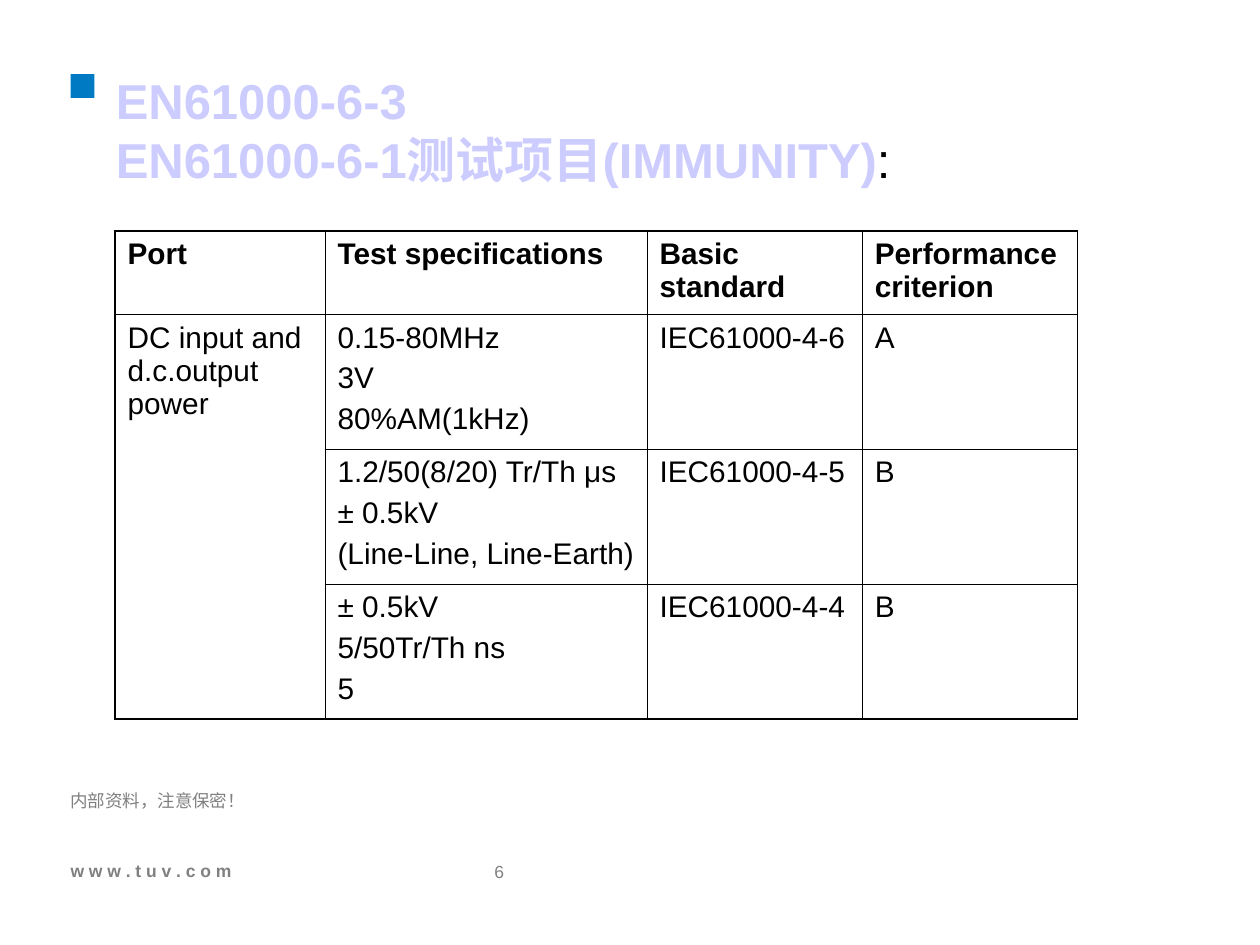
"""Build the slide of EMC immunity tests with a title, table and footer."""
from lxml import etree
from pptx import Presentation
from pptx.dml.color import RGBColor
from pptx.enum.shapes import MSO_SHAPE
from pptx.enum.text import MSO_ANCHOR, PP_ALIGN
from pptx.oxml.ns import qn
from pptx.util import Pt

RECT = MSO_SHAPE.RECTANGLE
TOP, BOTTOM = MSO_ANCHOR.TOP, MSO_ANCHOR.BOTTOM
LEFT, RIGHT = PP_ALIGN.LEFT, PP_ALIGN.RIGHT
COLORS = {"blue": "007AC2", "lilac": "CCCCFF", "grey": "808080", "black": "000000"}
THIN, THICK = 0.45, 1.08

COLS = [120, 184, 123, 123]
ROWS = [48, 77, 77, 77]
CELLS = [
    ["Port", "Test specifications", "Basic standard", "Performance criterion"],
    ["DC input and d.c.output power", "0.15-80MHz\n3V\n80%AM(1kHz)", "IEC61000-4-6", "A"],
    ["", "1.2/50(8/20) Tr/Th μs\n± 0.5kV\n(Line-Line, Line-Earth)", "IEC61000-4-5", "B"],
    ["", "± 0.5kV\n5/50Tr/Th ns\n5", "IEC61000-4-4", "B"],
]


def assign(item, values):
    """Set each attribute of an item from a dict."""
    for name, value in values.items():
        setattr(item, name, value)


class Page:
    """Hold the style and the current slide."""

    def __init__(self, slide, face="Arial"):
        self.slide = slide
        self.face = face

    def style(self, font, size, color, bold=False):
        """Format a font."""
        assign(font, {"name": self.face, "size": Pt(size), "bold": bold})
        font.color.rgb = RGBColor.from_string(COLORS[color])

    def block(self, box, color):
        """Add a filled rectangle without a line."""
        shape = self.slide.shapes.add_shape(RECT, *map(Pt, box))
        shape.shadow.inherit = False
        shape.fill.solid()
        shape.fill.fore_color.rgb = RGBColor.from_string(COLORS[color])
        shape.line.fill.background()

    def text(self, box, runs, size, align=LEFT, anchor=TOP, inset=0):
        """Add a text box of (text, color, bold) runs."""
        frame = self.slide.shapes.add_textbox(*map(Pt, box)).text_frame
        assign(frame, {"word_wrap": True, "vertical_anchor": anchor, "margin_left": 0,
                       "margin_top": Pt(inset), "margin_right": 0, "margin_bottom": 0})
        para = frame.paragraphs[0]
        para.alignment = align
        for index, line in enumerate(runs):
            if index and line[0].startswith("\v"):
                para.add_line_break()
            run = para.add_run()
            run.text = line[0].lstrip("\v")
            self.style(run.font, size, *line[1:])

    def border(self, cell, widths):
        """Draw the left, right, top and bottom lines of a cell."""
        props = cell._tc.get_or_add_tcPr()
        for index, (side, width) in enumerate(zip("LRTB", widths)):
            line = etree.Element(qn(f"a:ln{side}"), w=str(int(Pt(width))))
            fill = etree.SubElement(line, qn("a:solidFill"))
            etree.SubElement(fill, qn("a:srgbClr"), val=COLORS["black"])
            props.insert(index, line)

    def table(self, left, top, cols, rows, cells, size):
        """Add a ruled table with a bold head row and a merged first column."""
        box = map(Pt, (left, top, sum(cols), sum(rows)))
        table = self.slide.shapes.add_table(len(rows), len(cols), *box).table
        assign(table, {"first_row": False, "horz_banding": False})
        for col, width in zip(table.columns, cols):
            col.width = Pt(width)
        for row, height in zip(table.rows, rows):
            row.height = Pt(height)
        table.cell(1, 0).merge(table.cell(len(rows) - 1, 0))
        for r, line in enumerate(cells):
            for c, words in enumerate(line):
                cell = table.cell(r, c)
                cell.fill.background()
                assign(cell, {"margin_left": Pt(7.2), "margin_right": Pt(7.2),
                              "margin_top": Pt(3.6), "margin_bottom": Pt(3.6)})
                outer = (c == 0, c == len(cols) - 1, r == 0,
                         r + (cell.span_height if cell.is_merge_origin else 1) == len(rows))
                self.border(cell, [THICK if edge else THIN for edge in outer])
                if not words:
                    continue
                cell.text = words
                for index, para in enumerate(cell.text_frame.paragraphs):
                    para.space_before = Pt(4.2 if index else 0)
                    self.style(para.runs[0].font, size, "black", r == 0)


def main():
    """Make and save the slide."""
    deck = Presentation()
    assign(deck, {"slide_width": Pt(720), "slide_height": Pt(540)})
    page = Page(deck.slides.add_slide(deck.slide_layouts[6]))
    page.text((40.3, 456.5, 121.7, 46.8), [("w w w . t u v . c o m", "grey", True)], 10,
              anchor=BOTTOM, inset=8.6)
    page.block((40.3, 42.3, 13.7, 13.7), "blue")
    page.text((66.2, 37.4, 491.8, 41), [("EN61000-6-3", "lilac", True),
                                        ("\vEN61000-6-1测试项目(IMMUNITY)", "lilac", True),
                                        (":", "black")], 28, inset=3)
    page.table(65.7, 131.8, COLS, ROWS, CELLS, 17)
    page.text((40.3, 451.4, 228.2, 36), [("内部资料，注意保密！", "grey")], 10)
    page.text((229.7, 491.8, 58.3, 36), [("6", "grey")], 10, align=RIGHT)
    deck.save("out.pptx")


if __name__ == "__main__":
    main()
